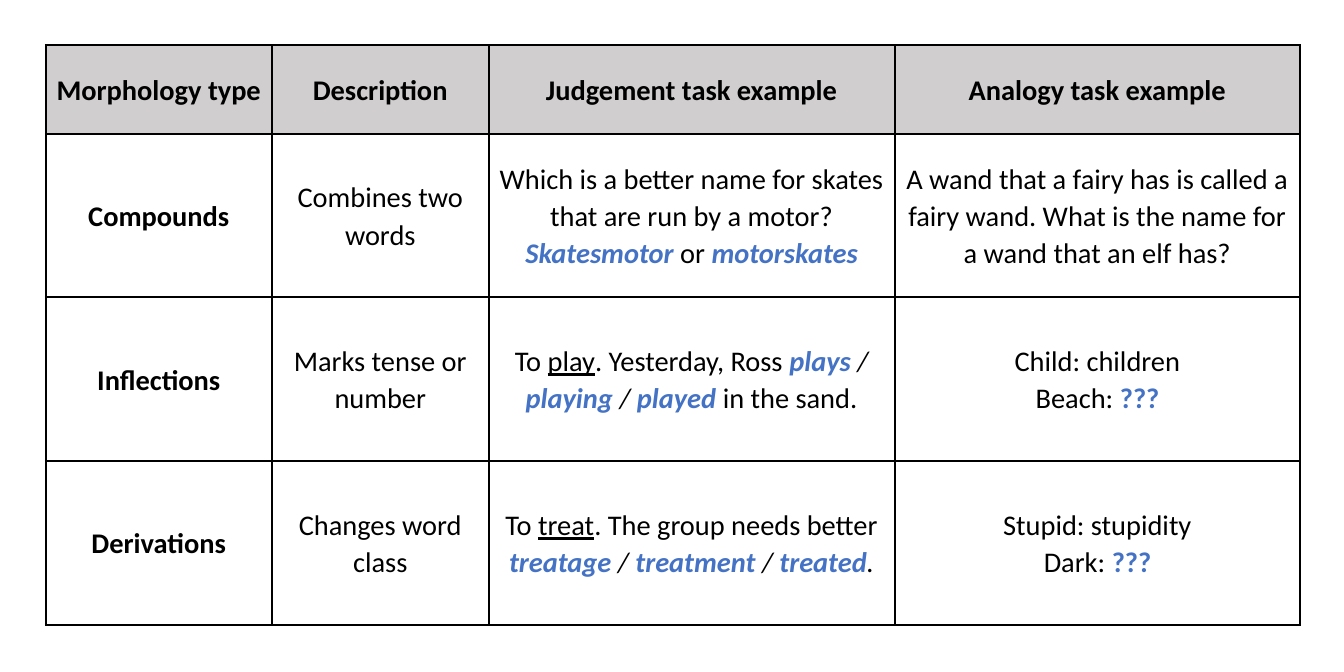
from lxml import etree
from pptx import Presentation, util as u
from pptx.dml import color
from pptx.enum import text
from pptx.oxml import ns

HUES = {"ink": "000000", "key": "4472C4", "head": "D0CECE"}
STYLES = {
    "plain": {},
    "bold": {"bold": True},
    "under": {"underline": True},
    "slant": {"italic": True},
    "blank": {"bold": True, "hue": "key"},
    "word": {"bold": True, "italic": True, "hue": "key"},
}
HEADS = ["Morphology type", "Description", "Judgement task example", "Analogy task example"]
ROWS = [
    ("Compounds", "Combines two words",
     [["Which is a better name for skates that are run by a motor?"],
      [("Skatesmotor ", "word"), "or ", ("motorskates", "word")]],
     "A wand that a fairy has is called a fairy wand. "
     "What is the name for a wand that an elf has?"),
    ("Inflections", "Marks tense or number",
     [["To ", ("play", "under"), ". Yesterday, Ross ", ("plays ", "word"), ("/ ", "slant"),
       ("playing ", "word"), ("/", "slant"), (" played ", "word"), "in the sand."]],
     [["Child: children"], ["Beach: ", ("???", "blank")]]),
    ("Derivations", "Changes word class",
     [["To ", ("treat", "under"), ". The group needs better ", ("treatage ", "word"),
       ("/ ", "slant"), ("treatment ", "word"), ("/", "slant"), (" treated", "word"),
       (".", "slant")]],
     [["Stupid: stupidity"], ["Dark: ", ("???", "blank")]]),
]
WIDE, HIGH = 566.93, 283.46
WIDTHS = [95.4, 91.5, 171.2, 171.2]
HEIGHTS = [37.4] + [69.1] * len(ROWS)
LEFT, TOP = 19.3, 19


def tint(name):
    return color.RGBColor.from_string(HUES[name])


def frame(cell):
    props = cell._tc.get_or_add_tcPr()
    for side in ("lnL", "lnR", "lnT", "lnB"):
        line = etree.SubElement(props, ns.qn("a:" + side), w=str(u.Pt(1)))
        fill = etree.SubElement(line, ns.qn("a:solidFill"))
        etree.SubElement(fill, ns.qn("a:srgbClr"), val=HUES["ink"])


def write(cell, lines, base):
    if isinstance(lines, str):
        lines = [[lines]]
    body = cell.text_frame
    for i, parts in enumerate(lines):
        para = body.add_paragraph() if i else body.paragraphs[0]
        para.alignment = text.PP_ALIGN.CENTER
        para.line_spacing = 1.07
        for part in parts:
            words, kind = (part, base) if isinstance(part, str) else part
            style = STYLES[kind]
            run = para.add_run()
            run.text = words
            font = run.font
            font.name, font.size = "Calibri", u.Pt(12)
            font.bold = style.get("bold", False)
            font.italic = style.get("italic", False)
            font.underline = style.get("underline", False)
            font.color.rgb = tint(style.get("hue", "ink"))


deck = Presentation()
deck.slide_width, deck.slide_height = u.Pt(WIDE), u.Pt(HIGH)
deck.element.find(ns.qn("p:sldSz")).attrib.pop("type", None)
slide = deck.slides.add_slide(deck.slide_layouts[6])
table = slide.shapes.add_table(
    len(HEIGHTS), len(WIDTHS), u.Pt(LEFT), u.Pt(TOP),
    u.Pt(sum(WIDTHS)), u.Pt(sum(HEIGHTS))).table
table.horz_banding = False
for col, width in zip(table.columns, WIDTHS):
    col.width = u.Pt(width)
for row, height in zip(table.rows, HEIGHTS):
    row.height = u.Pt(height)

for r, cells in enumerate([HEADS] + ROWS):
    for c, lines in enumerate(cells):
        cell = table.cell(r, c)
        cell.vertical_anchor = text.MSO_ANCHOR.MIDDLE
        cell.margin_left = cell.margin_right = u.Pt(3)
        cell.margin_top = cell.margin_bottom = 0
        frame(cell)
        if r == 0:
            cell.fill.solid()
            cell.fill.fore_color.rgb = tint("head")
        else:
            cell.fill.background()
        write(cell, lines, "bold" if r == 0 or c == 0 else "plain")

deck.save("out.pptx")
